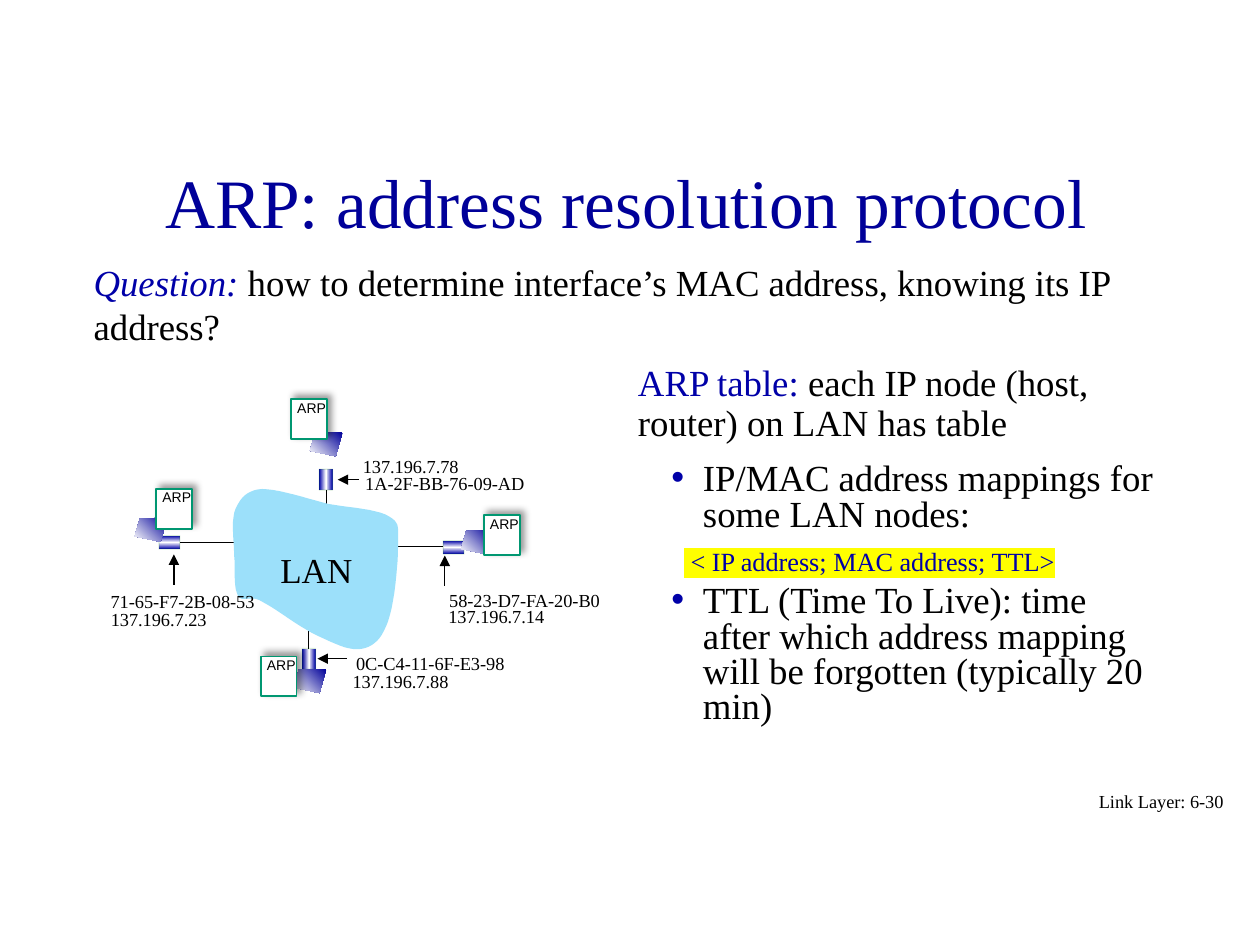
from lxml import etree
from pptx import Presentation
from pptx.dml.color import RGBColor
from pptx.enum.shapes import MSO_CONNECTOR, MSO_SHAPE
from pptx.enum.text import MSO_ANCHOR, PP_ALIGN
from pptx.oxml.ns import qn
from pptx.util import Pt

LEFT, CENTER, RIGHT = PP_ALIGN.LEFT, PP_ALIGN.CENTER, PP_ALIGN.RIGHT
TOP, MIDDLE = MSO_ANCHOR.TOP, MSO_ANCHOR.MIDDLE
RECTANGLE, STRAIGHT = MSO_SHAPE.RECTANGLE, MSO_CONNECTOR.STRAIGHT
SERIF, SANS = "Times New Roman", "Arial"
COLORS = {"title": "000099", "accent": "0000A8", "black": "000000", "white": "FFFFFF",
          "lan": "9CE0FA", "module": "009771", "adapter": "008000", "highlight": "FFFF00"}

TITLE = "ARP: address resolution protocol"
FOOTER = "Link Layer: 6-30"
QUESTION = [("Question: ", {"color": "accent", "italic": True}),
            ("how to determine interface’s MAC address, knowing its IP address?", {})]
TABLE_INTRO = [("ARP table: ", {"color": "accent"}),
               ("each IP node (host, router) on LAN has table", {})]
MAPPINGS = "IP/MAC address mappings for some LAN nodes:"
ENTRY = " < IP address; MAC address; TTL>"
TTL = "TTL (Time To Live): time after which address mapping will be forgotten (typically 20 min)"

# Each node: corners of host, module and labels, adapter centre, (from, to) of link and pointer
NODES = [
    {"host": (177.1, 247), "module": (166.3, 228.2), "adapter": (186.3, 274.1), "turn": 0,
     "link": (186.7, 268.6, 186.7, 298.1), "pointer": (205.2, 274.1, 193, 274.1),
     "labels": [("137.196.7.78", 200.2, 256.3), ("1A-2F-BB-76-09-AD", 201.6, 266.4)]},
    {"host": (263.5, 303.1), "module": (276.5, 294.5), "adapter": (259.2, 312.8), "turn": 90,
     "link": (265.7, 312.2, 227.5, 312.2), "pointer": (254.2, 334.8, 254.2, 317.5),
     "labels": [("58-23-D7-FA-20-B0", 249.6, 333.1), ("137.196.7.14", 249.1, 342)]},
    {"host": (167.8, 382.3), "module": (149, 375.1), "adapter": (176.6, 376.6), "turn": 0,
     "link": (176.4, 376.6, 176.4, 356.4), "pointer": (198, 376.4, 181.4, 376.4),
     "labels": [("0C-C4-11-6F-E3-98", 196.4, 369.1), ("137.196.7.88", 194.4, 379.4)]},
    {"host": (77, 295.9), "module": (89.3, 279.4), "adapter": (96.8, 310), "turn": 90,
     "link": (102.2, 310, 144.7, 310), "pointer": (99.4, 334.1, 99.4, 316.8),
     "labels": [("71-65-F7-2B-08-53", 56.1, 333.8), ("137.196.7.23", 56.2, 344.2)]},
]
HOST_OUTLINE = [(18.7, 0), (3, 0.2), (0, 10.6), (14.8, 13.7)]
ADAPTER_WIDTH, ADAPTER_HEIGHT = 7.6, 11.9
MODULE_WIDTH, MODULE_HEIGHT = 20.5, 22.7
LABEL_WIDTH = 115

LAN_START = (149.8, 279.4)
LAN_CURVES = [  # two control points and an end point each
    ((141.1, 280.1), (137.5, 284.4), (134.6, 290.9)),
    ((131.8, 297.4), (133.9, 309.6), (133.9, 318.2)),
    ((134.6, 326.2), (133.2, 334.8), (136.1, 340.6)),
    ((139, 344.9), (143.3, 339.1), (150.5, 344.2)),
    ((157.7, 347.8), (171.4, 358.6), (180.7, 362.9)),
    ((190.1, 367.2), (199.4, 372.2), (206.6, 370.8)),
    ((213.8, 369.4), (218.2, 365), (221.8, 355)),
    ((225.4, 344.9), (227.5, 322.6), (227.5, 312.5)),
    ((227.5, 302.4), (229, 298.8), (222.5, 295.2)),
    ((216, 290.9), (200.2, 290.2), (187.9, 288)),
    ((176.4, 285.1), (159.1, 279.4), LAN_START),
]
CURVE_STEPS = 10

presentation = Presentation()
presentation.slide_width, presentation.slide_height = Pt(720), Pt(540)
slide = presentation.slides.add_slide(presentation.slide_layouts[6])
shapes = slide.shapes


def rgb(name):
    return RGBColor.from_string(COLORS[name])


def child(parent, tag, **attributes):
    return etree.SubElement(parent, qn(tag), {key: str(value) for key, value in attributes.items()})


def add_color(parent, name, alpha=None):
    color = child(parent, "a:srgbClr", val=COLORS[name])
    if alpha is not None:
        child(color, "a:alpha", val=alpha * 1000)


def add_run(paragraph, text, size, color="black", font=SERIF, italic=False, highlight=None):
    run = paragraph.add_run()
    run.text = text
    run.font.size, run.font.name, run.font.italic = Pt(size), font, italic
    run.font.color.rgb = rgb(color)
    if highlight:
        mark = etree.Element(qn("a:highlight"))
        add_color(mark, highlight)
        run.font.fill._xPr.find(qn("a:solidFill")).addnext(mark)


def add_text(left, top, width, height, runs, size, align=LEFT, anchor=TOP, wrap=True,
             margins=(7.2, 3.6), spacing=None):
    """Add a one-paragraph box from (text, run options) pairs and return its frame."""
    frame = shapes.add_textbox(Pt(left), Pt(top), Pt(width), Pt(height)).text_frame
    frame.word_wrap, frame.vertical_anchor = wrap, anchor
    frame.margin_left = frame.margin_right = Pt(margins[0])
    frame.margin_top = frame.margin_bottom = Pt(margins[1])
    paragraph = frame.paragraphs[0]
    paragraph.alignment, paragraph.line_spacing = align, spacing
    for text, options in runs:
        add_run(paragraph, text, size, **options)
    return frame


def indent(paragraph, margin, hanging=0, bullet=False):
    properties = paragraph._p.get_or_add_pPr()
    properties.set("marL", str(Pt(margin)))
    properties.set("indent", str(-Pt(hanging)))
    if bullet:
        add_color(child(properties, "a:buClr"), "accent")
        child(properties, "a:buFont", typeface=SANS)
        child(properties, "a:buChar", char="•")


def add_line(x1, y1, x2, y2, arrow=False):
    line = shapes.add_connector(STRAIGHT, Pt(x1), Pt(y1), Pt(x2), Pt(y2))
    line.line.width = Pt(0.75)
    line.line.color.rgb = rgb("black")
    if arrow:
        child(line.line._get_or_add_ln(), "a:tailEnd", type="triangle")
    child(line._element.spPr, "a:effectLst")


def add_outline(points):
    builder = shapes.build_freeform(points[0][0] * 10, points[0][1] * 10, scale=Pt(0.1))
    builder.add_line_segments([(x * 10, y * 10) for x, y in points[1:]], close=True)
    shape = builder.convert_to_shape()
    shape.shadow.inherit = False
    shape.line.fill.background()
    return shape


def fill_gradient(shape, stops, angle):
    shape.fill.gradient()
    gradient = shape._element.spPr.find(qn("a:gradFill"))
    for element in list(gradient):
        gradient.remove(element)
    stop_list = child(gradient, "a:gsLst")
    for position, color in stops:
        add_color(child(stop_list, "a:gs", pos=position * 1000), color)
    child(gradient, "a:lin", ang=angle * 60000, scaled=0)


def add_rectangle(left, top, width, height, line_color, line_width):
    shape = shapes.add_shape(RECTANGLE, Pt(left), Pt(top), Pt(width), Pt(height))
    shape.shadow.inherit = False
    shape.line.color.rgb = rgb(line_color)
    shape.line.width = Pt(line_width)
    return shape


def add_adapter(x, y, turn):
    shape = add_rectangle(x - ADAPTER_WIDTH / 2, y - ADAPTER_HEIGHT / 2,
                          ADAPTER_WIDTH, ADAPTER_HEIGHT, "adapter", 0.75)
    shape.rotation = turn
    fill_gradient(shape, [(0, "accent"), (50, "white"), (100, "accent")], 0)
    line_color = shape.line._get_or_add_ln().find(".//" + qn("a:srgbClr"))
    child(line_color, "a:alpha", val=15000)


def add_module(left, top):
    shape = add_rectangle(left, top, MODULE_WIDTH, MODULE_HEIGHT, "module", 1)
    shape.fill.solid()
    shape.fill.fore_color.rgb = rgb("white")
    shadow = child(shape._element.spPr.find(qn("a:effectLst")), "a:outerShdw",
                   blurRad=Pt(4), dist=Pt(3), dir=315 * 60000, rotWithShape=0)
    add_color(shadow, "black", 40)
    add_text(left - 3.6, top - 3.6, 34, 16.6, [("ARP", {"font": SANS})], 8, wrap=False)


def lan_points():
    points = [LAN_START]
    for a, b, end in LAN_CURVES:
        start = points[-1]
        for step in range(1, CURVE_STEPS + 1):
            t = step / CURVE_STEPS
            u = 1 - t
            points.append(tuple(u**3 * start[i] + 3 * u * u * t * a[i] + 3 * u * t * t * b[i]
                                + t**3 * end[i] for i in (0, 1)))
    return points[:-1]


add_text(47.5, 88.3, 620.6, 52.6, [(TITLE, {"color": "title"})], 39.6, CENTER, MIDDLE)
add_text(544.3, 447.8, 162, 21.6, [(FOOTER, {})], 10.5, RIGHT)
add_text(46.4, 145, 651.6, 58.3, QUESTION, 21)
add_text(359.6, 205.6, 306.7, 56.2, TABLE_INTRO, 21, margins=(5, 2.9), spacing=0.9)

for node in NODES:
    add_line(*node["link"])
lan = add_outline(lan_points())
lan.fill.solid()
lan.fill.fore_color.rgb = rgb("lan")
add_text(129.3, 310, 103, 31.7, [("LAN", {})], 20, CENTER)
for node in NODES:
    add_adapter(*node["adapter"], node["turn"])
    left, top = node["host"]
    host = add_outline([(left + x, top + y) for x, y in HOST_OUTLINE])
    fill_gradient(host, [(0, "title"), (100, "white")], 135)
    add_line(*node["pointer"], arrow=True)
    for text, left, top in node["labels"]:
        add_text(left, top, LABEL_WIDTH, 20.2, [(text, {})], 10.5)
    add_module(*node["module"])

details = add_text(342, 262.1, 323.3, 171.4, [(MAPPINGS, {})], 21, margins=(5, 2.9), spacing=0.8)
indent(details.paragraphs[0], 54.7, 18, bullet=True)
entry, ttl = details.add_paragraph(), details.add_paragraph()
entry.line_spacing = ttl.line_spacing = 0.8
entry.space_before, ttl.space_before = Pt(10), Pt(5)
indent(entry, 43.9)
add_run(entry, ENTRY, 15, "accent", highlight="highlight")
indent(ttl, 54.7, 18, bullet=True)
add_run(ttl, TTL, 21)

presentation.save("out.pptx")
